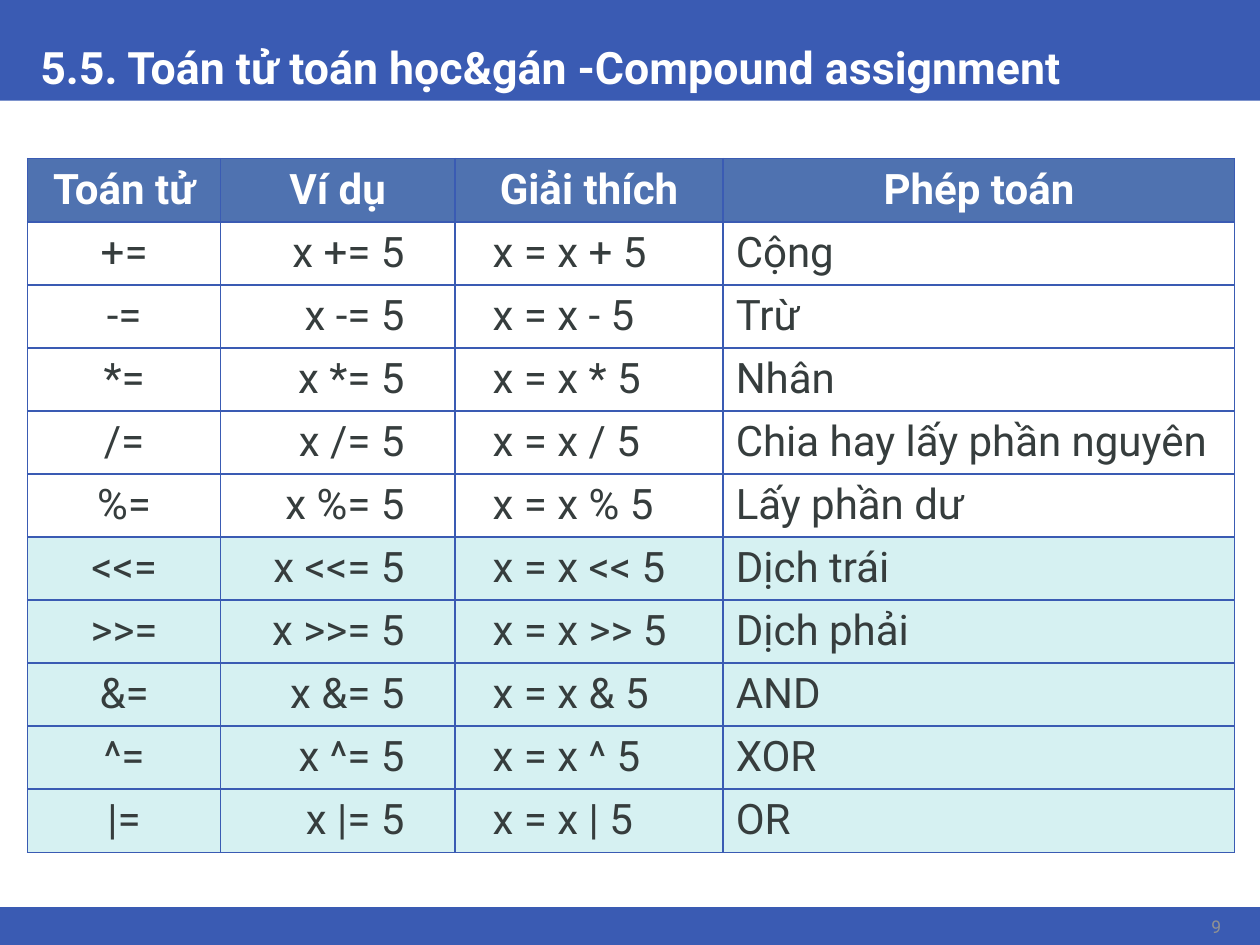
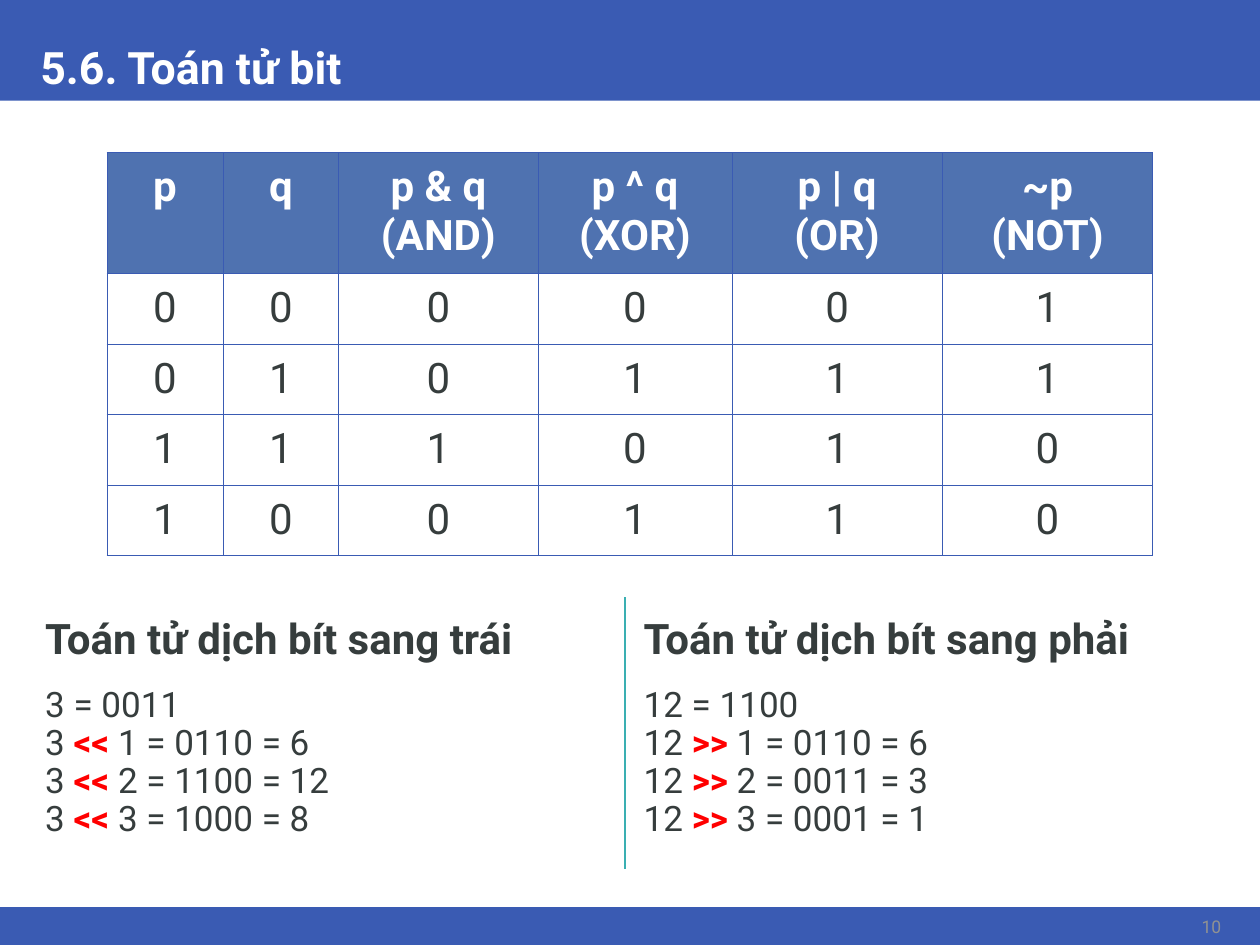
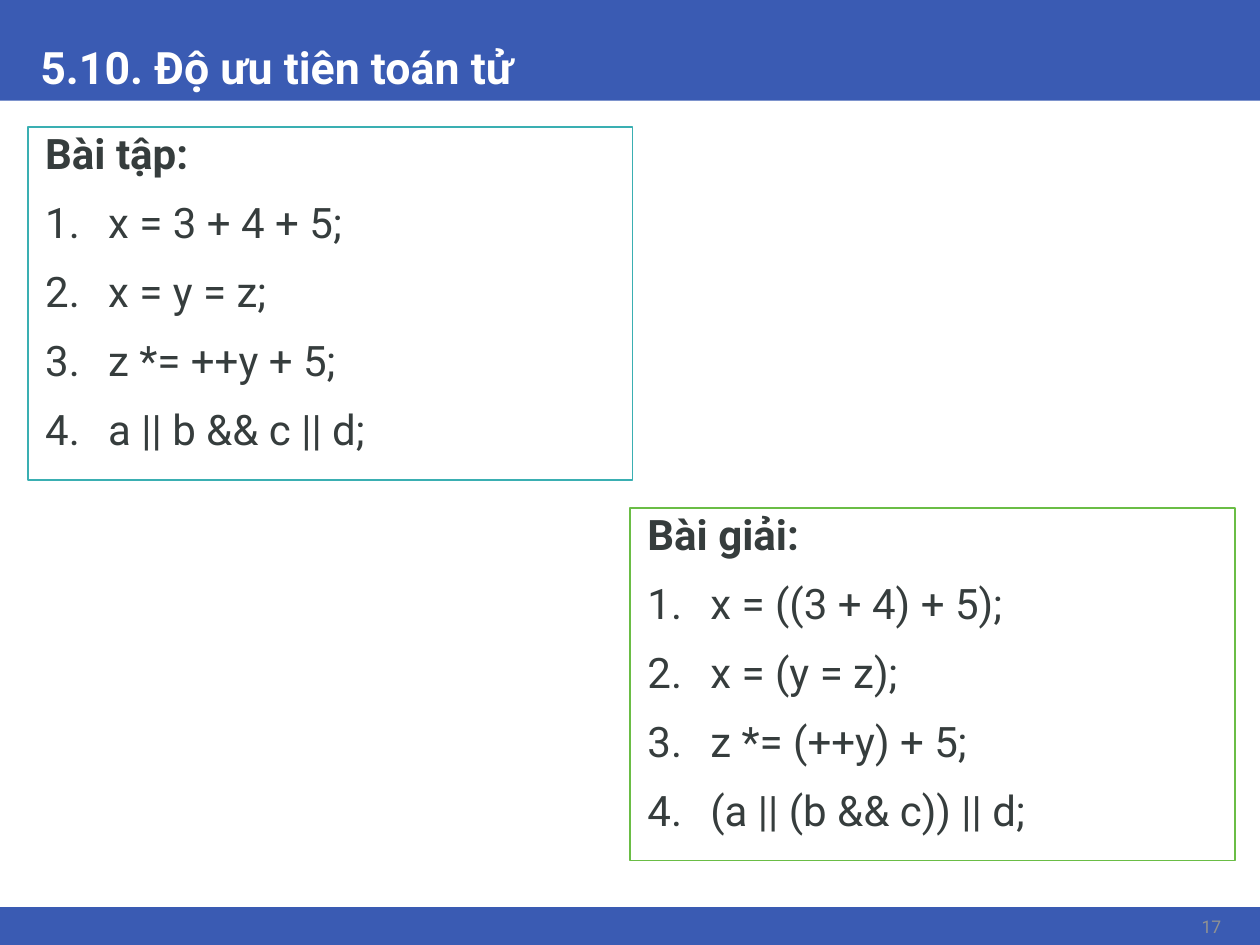
from dataclasses import dataclass

from pptx import Presentation
from pptx.dml.color import RGBColor
from pptx.enum.shapes import MSO_CONNECTOR, MSO_SHAPE
from pptx.enum.text import MSO_ANCHOR, MSO_AUTO_SIZE, PP_ALIGN
from pptx.oxml.ns import qn
from pptx.util import Inches, Pt
from lxml.etree import SubElement


@dataclass(frozen=True)
class Theme:
    font: str = "Roboto"
    blue: str = "3A5BB3"
    header: str = "4F72B0"
    pale: str = "D6F1F2"
    teal: str = "3AAFB2"
    green: str = "6ABD45"
    ink: str = "363D3D"
    red: str = "FF0000"
    grey: str = "919292"
    white: str = "FFFFFF"
    title_size: float = 25.5
    body_size: float = 24
    code_size: float = 20
    number_size: float = 10
    line_spacing: float = 0.9
    space_before: float = 13.5


THEME = Theme()
LEFT, CENTER, RIGHT = PP_ALIGN.LEFT, PP_ALIGN.CENTER, PP_ALIGN.RIGHT
TITLE_ONLY = 5
INDENT = 0.04
NUMBER_INDENT = 0.5

OPERATORS = [
    ("+=", "x += 5", "x = x + 5", "Cộng"),
    ("-=", "x -= 5", "x = x - 5", "Trừ"),
    ("*=", "x *= 5", "x = x * 5", "Nhân"),
    ("/=", "x /= 5", "x = x / 5", "Chia hay lấy phần nguyên"),
    ("%=", "x %= 5", "x = x % 5", "Lấy phần dư"),
    ("<<=", "x <<= 5", "x = x << 5", "Dịch trái"),
    (">>=", "x >>= 5", "x = x >> 5", "Dịch phải"),
    ("&=", "x &= 5", "x = x & 5", "AND"),
    ("^=", "x ^= 5", "x = x ^ 5", "XOR"),
    ("|=", "x |= 5", "x = x | 5", "OR"),
]
FIRST_BIT_ROW = 6
TRUTH_HEADER = ("p", "q", "p & q\v(AND)", "p ^ q\v(XOR)", "p | q\v(OR)", "~p\n(NOT)")
TRUTH_ROWS = ["000001", "010111", "111010", "100110"]


def color(value):
    return RGBColor.from_string(value)


def inches(*values):
    return [Inches(value) for value in values]


def style(font, size, value, bold=False):
    font.name = THEME.font
    font.size = Pt(size)
    font.bold = bold
    font.color.rgb = color(value)


def style_runs(text_frame, size, value, bold=False, align=LEFT):
    for paragraph in text_frame.paragraphs:
        paragraph.alignment = align
        for run in paragraph.runs:
            style(run.font, size, value, bold)


def add_bands(presentation, slide):
    """Draw the top and bottom bands and move them to the slide master."""
    master_tree = presentation.slide_master.shapes.element
    for index, (top, height) in enumerate([(0, 0.8), (7.2, 0.3)]):
        band = slide.shapes.add_shape(MSO_SHAPE.RECTANGLE, *inches(0, top, 10, height))
        band.shadow.inherit = False
        band.fill.solid()
        band.fill.fore_color.rgb = color(THEME.blue)
        band.line.fill.background()
        band.element.nvSpPr.cNvPr.set("id", str(100 + index))
        master_tree.insert(2 + index, band.element)


def add_slide(presentation, title_text, number):
    slide = presentation.slides.add_slide(presentation.slide_layouts[TITLE_ONLY])
    title = slide.shapes.title
    title.left, title.top, title.width, title.height = inches(0.22, 0, 9.57, 0.8)
    frame = title.text_frame
    frame.text = title_text
    frame.auto_size = MSO_AUTO_SIZE.NONE
    frame.vertical_anchor = MSO_ANCHOR.BOTTOM
    frame.paragraphs[0].line_spacing = THEME.line_spacing
    style_runs(frame, THEME.title_size, THEME.white, bold=True)

    number_box = slide.shapes.add_textbox(*inches(9.26, 7.22, 0.53, 0.26))
    frame = number_box.text_frame
    frame.word_wrap = True
    frame.vertical_anchor = MSO_ANCHOR.MIDDLE
    frame.text = str(number)
    style_runs(frame, THEME.number_size, THEME.grey, align=RIGHT)
    return slide


def set_borders(cell, width):
    properties = cell._tc.get_or_add_tcPr()
    for side in ("lnL", "lnR", "lnT", "lnB"):
        line = SubElement(properties, qn(f"a:{side}"), w=str(Pt(width)))
        fill = SubElement(line, qn("a:solidFill"))
        SubElement(fill, qn("a:srgbClr"), val=THEME.blue)


def add_grid(slide, left, top, widths, heights, rows, border):
    """Add a table with a blue header row and plain, centred body cells."""
    frame = slide.shapes.add_table(len(rows), len(widths),
                                   *inches(left, top, sum(widths), sum(heights)))
    table = frame.table
    table.horz_banding = False
    for column, width in zip(table.columns, widths):
        column.width = Inches(width)
    for row_index, (row, height, values) in enumerate(zip(table.rows, heights, rows)):
        row.height = Inches(height)
        is_header = row_index == 0
        for cell, value in zip(row.cells, values):
            cell.text = value
            set_borders(cell, border)
            if is_header:
                fill_cell(cell, THEME.header)
            else:
                cell.fill.background()
            style_runs(cell.text_frame, THEME.body_size,
                       THEME.white if is_header else THEME.ink, is_header, CENTER)
    return table


def fill_cell(cell, value):
    cell.fill.solid()
    cell.fill.fore_color.rgb = color(value)


def format_paragraph(paragraph, first=False, numbered=False):
    hanging = NUMBER_INDENT if numbered else 0
    properties = paragraph._p.get_or_add_pPr()
    properties.set("marL", str(Inches(INDENT + hanging)))
    properties.set("indent", str(Inches(-hanging)))
    if numbered:
        SubElement(properties, qn("a:buFont"), typeface="+mj-lt")
        SubElement(properties, qn("a:buAutoNum"), type="arabicPeriod")
    paragraph.alignment = LEFT
    paragraph.line_spacing = THEME.line_spacing
    if not first:
        paragraph.space_before = Pt(THEME.space_before)


def add_heading(text_frame, text):
    text_frame.word_wrap = True
    text_frame.vertical_anchor = MSO_ANCHOR.TOP
    text_frame.text = text
    style_runs(text_frame, THEME.body_size, THEME.ink, bold=True)
    format_paragraph(text_frame.paragraphs[0], first=True)


def add_shift_example(slide, left, width, heading, operator, lines):
    """Add a heading and code lines whose operator is red."""
    frame = slide.shapes.add_textbox(*inches(left, 4.86, width, 2.16)).text_frame
    add_heading(frame, heading)
    paragraph = frame.add_paragraph()
    format_paragraph(paragraph)
    for index, line in enumerate(lines):
        if index:
            paragraph.add_line_break()
        for part in filter(None, line.partition(operator)):
            run = paragraph.add_run()
            run.text = part
            marked = part == operator
            style(run.font, THEME.code_size, THEME.red if marked else THEME.ink, marked)


def add_divider(slide, x, top, bottom):
    line = slide.shapes.add_connector(MSO_CONNECTOR.STRAIGHT, *inches(x, top, x, bottom))
    line.line.color.rgb = color(THEME.teal)
    line.line.width = Pt(1.5)
    SubElement(line.element.spPr, qn("a:effectLst"))


def add_numbered_box(slide, left, top, outline, heading, items):
    box = slide.shapes.add_shape(MSO_SHAPE.RECTANGLE, *inches(left, top, 4.8, 2.8))
    box.shadow.inherit = False
    box.fill.solid()
    box.fill.fore_color.rgb = color(THEME.white)
    box.line.color.rgb = color(outline)
    box.line.width = Pt(1)
    add_heading(box.text_frame, heading)
    for item in items:
        paragraph = box.text_frame.add_paragraph()
        paragraph.text = item
        format_paragraph(paragraph, numbered=True)
        style(paragraph.runs[0].font, THEME.body_size, THEME.ink)


def fill_assignment_slide(slide):
    rows = [("Toán tử", "Ví dụ", "Giải thích", "Phép toán"), *OPERATORS]
    table = add_grid(slide, 0.22, 1.26, [1.53, 1.86, 2.13, 4.06],
                     [0.49] * len(rows), rows, border=1)
    for row_index, row in enumerate(table.rows):
        if row_index == 0:
            continue
        _, example, meaning, operation = row.cells
        example.margin_right = Inches(0.4)
        meaning.margin_left = Inches(0.3)
        for cell, align in ((example, RIGHT), (meaning, LEFT), (operation, LEFT)):
            cell.text_frame.paragraphs[0].alignment = align
        if row_index >= FIRST_BIT_ROW:
            for cell in row.cells:
                fill_cell(cell, THEME.pale)


def fill_bit_slide(slide):
    table = add_grid(slide, 0.85, 1.21, [0.92, 0.92, 1.58, 1.54, 1.67, 1.67],
                     [0.95] + [0.56] * len(TRUTH_ROWS), [TRUTH_HEADER, *TRUTH_ROWS], border=0.5)
    for cell in table.iter_cells():
        cell.margin_left = cell.margin_right = Inches(0.08)
        cell.margin_top = cell.margin_bottom = Inches(0.08)
    add_shift_example(slide, 0.22, 4.55, "Toán tử dịch bít sang trái", "<<",
                      ["3 = 0011", "3 << 1 = 0110 = 6", "3 << 2 = 1100 = 12",
                       "3 << 3 = 1000 = 8"])
    add_shift_example(slide, 4.97, 4.81, "Toán tử dịch bít sang phải", ">>",
                      ["12 = 1100", "12 >> 1 = 0110 = 6", "12 >> 2 = 0011 = 3",
                       "12 >> 3 = 0001 = 1"])
    add_divider(slide, 4.96, 4.74, 6.9)


def fill_precedence_slide(slide):
    add_numbered_box(slide, 0.22, 1.01, THEME.teal, "Bài tập:",
                     ["x = 3 + 4 + 5;", "x = y = z;", "z *= ++y + 5;", "a || b && c || d;"])
    add_numbered_box(slide, 5, 4.03, THEME.green, "Bài giải:",
                     ["x = ((3 + 4) + 5);", "x = (y = z);", "z *= (++y) + 5;",
                      "(a || (b && c)) || d;"])


def main():
    presentation = Presentation()
    presentation.slide_width, presentation.slide_height = inches(10, 7.5)

    # Compound assignment
    slide = add_slide(presentation, "5.5. Toán tử toán học&gán -Compound assignment", 9)
    add_bands(presentation, slide)
    fill_assignment_slide(slide)

    # Bit operators
    fill_bit_slide(add_slide(presentation, "5.6. Toán tử bit", 10))

    # Operator precedence
    fill_precedence_slide(add_slide(presentation, "5.10. Độ ưu tiên toán tử", 17))

    presentation.save("out.pptx")


if __name__ == "__main__":
    main()
